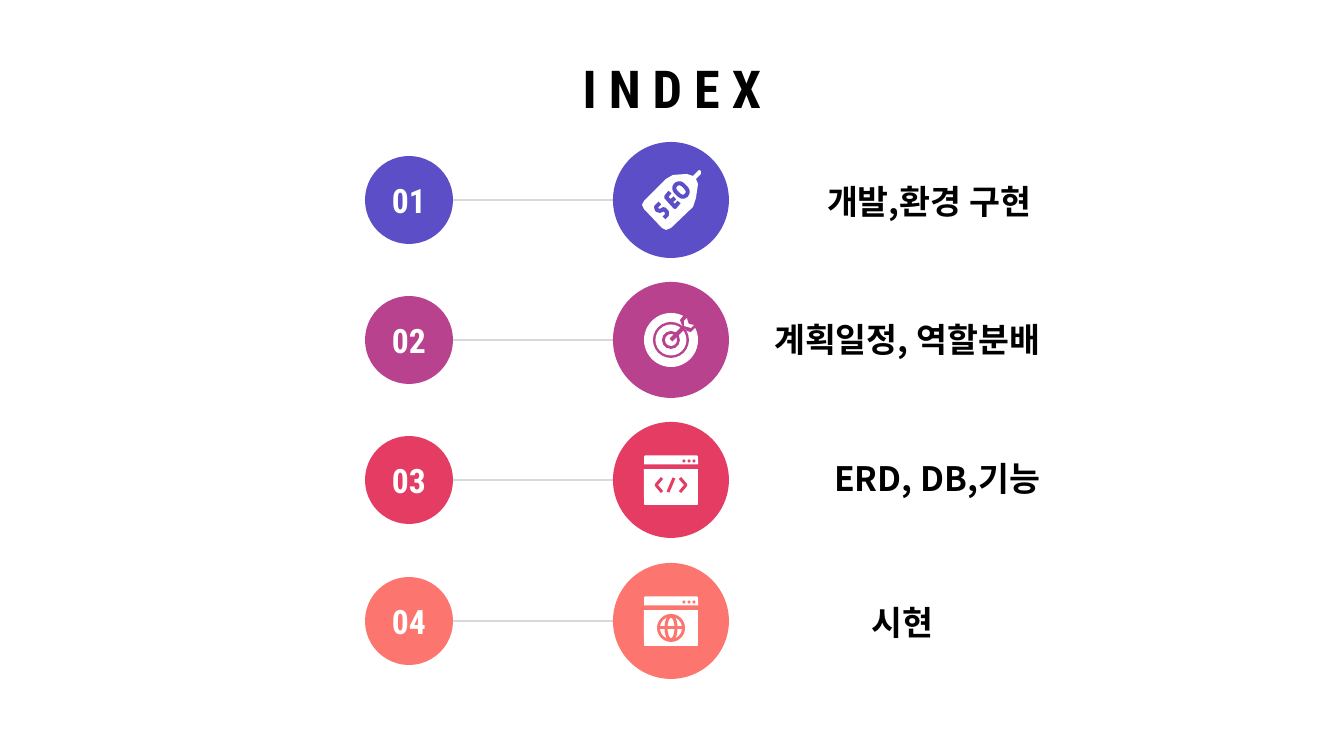
from lxml.etree import SubElement
from pptx import Presentation
from pptx.dml.color import RGBColor
from pptx.enum.shapes import MSO_CONNECTOR, MSO_SHAPE
from pptx.enum.text import MSO_ANCHOR, PP_ALIGN
from pptx.oxml.ns import qn
from pptx.util import Emu, Pt

EMU_PER_PX = 914400 / 134.4
WHITE = RGBColor(0xFF, 0xFF, 0xFF)
BLACK = RGBColor(0x00, 0x00, 0x00)
GREY = RGBColor(0xD9, 0xD9, 0xD9)
VIOLET = RGBColor(0x5C, 0x4E, 0xC7)
PURPLE = RGBColor(0xB8, 0x42, 0x8D)
RED = RGBColor(0xE4, 0x3C, 0x63)
CORAL = RGBColor(0xFC, 0x75, 0x6E)
LATIN_FONT = "Roboto Condensed"
KOREAN_FONT = "Noto Sans CJK KR"

TAG = [(26, -28), (22, -24), (16, -26), (2, -25), (-5, -21), (-27, 1), (-29, 5),
       (-27, 9), (-9, 28), (-5, 30), (0, 28), (22, 7), (25, -2), (27, -16),
       (25, -21), (30, -26), (30, -29), (28, -30)]
LETTER_S = [(-11, 3), (-15, 7), (-14, 10), (-11, 11), (-7, 9), (-4, 12), (-4, 15), (-7, 18)]
LETTER_E = [(-1, -8), (-5, -3), (4, 7), (8, 2)]
LETTER_E_BAR = [(-1, 2), (4, -2)]
ARROW_GAP = [(13, -25), (9, -20), (11, -15), (16, -9), (20, -8), (24, -12), (29, -22), (22, -29)]
ARROW_TAIL = [(16, -22), (13, -19), (13, -14), (20, -12), (23, -15), (18, -16), (17, -18)]
CODE_MARKS = [[(-9, -2), (-15, 5), (-9, 12)], [(3, -2), (-3, 12)], [(9, -2), (15, 5), (9, 12)]]


def px(length):
    return Emu(round(length * EMU_PER_PX))


class SlideBuilder:
    def __init__(self, slide):
        self.slide = slide
        self.origin = (0, 0)

    def place(self, x, y):
        return px(self.origin[0] + x), px(self.origin[1] + y)

    def paint(self, shape, fill, line, width):
        shape.shadow.inherit = False
        if fill is None:
            shape.fill.background()
        else:
            shape.fill.solid()
            shape.fill.fore_color.rgb = fill
        if line is None:
            shape.line.fill.background()
        else:
            shape.line.color.rgb = line
            shape.line.width = px(width)

    def shape(self, kind, x, y, width, height, fill=None, line=None, stroke=3, rotation=0):
        left, top = self.place(x - width / 2, y - height / 2)
        shape = self.slide.shapes.add_shape(kind, left, top, px(width), px(height))
        self.paint(shape, fill, line, stroke)
        shape.rotation = rotation
        return shape

    def circle(self, x, y, size, fill):
        return self.shape(MSO_SHAPE.OVAL, x, y, size, size, fill)

    def freeform(self, points, fill=None, line=None, stroke=3):
        builder = self.slide.shapes.build_freeform(*points[0], scale=EMU_PER_PX)
        builder.add_line_segments(points[1:], close=fill is not None)
        self.paint(builder.convert_to_shape(*self.place(0, 0)), fill, line, stroke)

    def connector(self, start, end):
        connector = self.slide.shapes.add_connector(
            MSO_CONNECTOR.STRAIGHT, *self.place(*start), *self.place(*end))
        connector.line.color.rgb = GREY
        connector.line.width = Pt(0.75)
        SubElement(connector._element.spPr, qn("a:effectLst"))

    def fill_text(self, shape, text, size, color, font_name, align):
        frame = shape.text_frame
        frame_format = {"word_wrap": True, "vertical_anchor": MSO_ANCHOR.MIDDLE}
        for side in ("left", "right", "top", "bottom"):
            frame_format[f"margin_{side}"] = px(13)
        for name, value in frame_format.items():
            setattr(frame, name, value)
        paragraph = frame.paragraphs[0]
        paragraph.alignment = align
        run = paragraph.add_run()
        run.text = text
        for name, value in {"size": Pt(size), "bold": True, "name": font_name}.items():
            setattr(run.font, name, value)
        run.font.color.rgb = color
        SubElement(run._r.get_or_add_rPr(), qn("a:ea"), typeface=font_name)

    def text(self, text, x, y, width, height, size, font_name, align):
        box = self.slide.shapes.add_textbox(*self.place(x, y), px(width), px(height))
        self.fill_text(box, text, size, BLACK, font_name, align)

    def tag_icon(self, color):
        self.freeform(TAG, WHITE)
        for stroke in (LETTER_S, LETTER_E, LETTER_E_BAR):
            self.freeform(stroke, line=color, stroke=4)
        letter_o = self.shape(MSO_SHAPE.ROUNDED_RECTANGLE, 10, -10, 15, 10,
                              line=color, stroke=4, rotation=45)
        letter_o.adjustments[0] = 0.5

    def target_icon(self, color):
        for size, fill in ((54, WHITE), (36, color), (31, WHITE), (18, color), (12, WHITE)):
            self.circle(0, 0, size, fill)
        self.freeform(ARROW_GAP, color)
        self.freeform([(0, 0), (14, -14)], line=color, stroke=4)
        self.freeform(ARROW_TAIL, WHITE)

    def browser(self, color):
        self.shape(MSO_SHAPE.ROUND_2_SAME_RECTANGLE, 0, -20, 54, 9, WHITE)
        body = self.shape(MSO_SHAPE.ROUND_2_SAME_RECTANGLE, 0, 7, 54, 36, WHITE, rotation=180)
        body.adjustments[0] = 0.04
        for x in (13, 18, 23):
            self.circle(x, -19, 3, color)

    def code_icon(self, color):
        self.browser(color)
        for mark in CODE_MARKS:
            self.freeform(mark, line=color)

    def globe_icon(self, color):
        self.browser(color)
        self.circle(0, 7, 28, color)
        self.circle(0, 7, 22, WHITE)
        self.shape(MSO_SHAPE.OVAL, 0, 7, 10, 24, line=color)
        self.freeform([(-12, 7), (12, 7)], line=color)


def main():
    presentation = Presentation()
    presentation.slide_width, presentation.slide_height = px(1344), px(756)
    slide = presentation.slides.add_slide(presentation.slide_layouts[6])
    builder = SlideBuilder(slide)
    builder.text("I N D E X", 67, 60, 1210, 55, 28, LATIN_FONT, PP_ALIGN.CENTER)

    rows = [
        ("개발,환경 구현", VIOLET, builder.tag_icon, 71, -19, PP_ALIGN.RIGHT),
        ("계획일정, 역할분배", PURPLE, builder.target_icon, 80, -21, PP_ALIGN.RIGHT),
        ("ERD, DB,기능", RED, builder.code_icon, 80, -22, PP_ALIGN.RIGHT),
        ("시현", CORAL, builder.globe_icon, 80, -19, PP_ALIGN.CENTER),
    ]
    for index, (label, color, draw_icon, label_x, label_y, align) in enumerate(rows):
        builder.origin = (671, 200 + 421 * index // 3)
        builder.connector((-218, 0), (-58, 0))
        number = builder.circle(-262, 0, 88, color)
        builder.fill_text(number, f"{index + 1:02}", 18, WHITE, LATIN_FONT, PP_ALIGN.CENTER)
        builder.circle(0, 0, 116, color)
        draw_icon(color)
        builder.text(label, label_x, label_y, 302, 40, 18, KOREAN_FONT, align)

    presentation.save("out.pptx")


if __name__ == "__main__":
    main()
